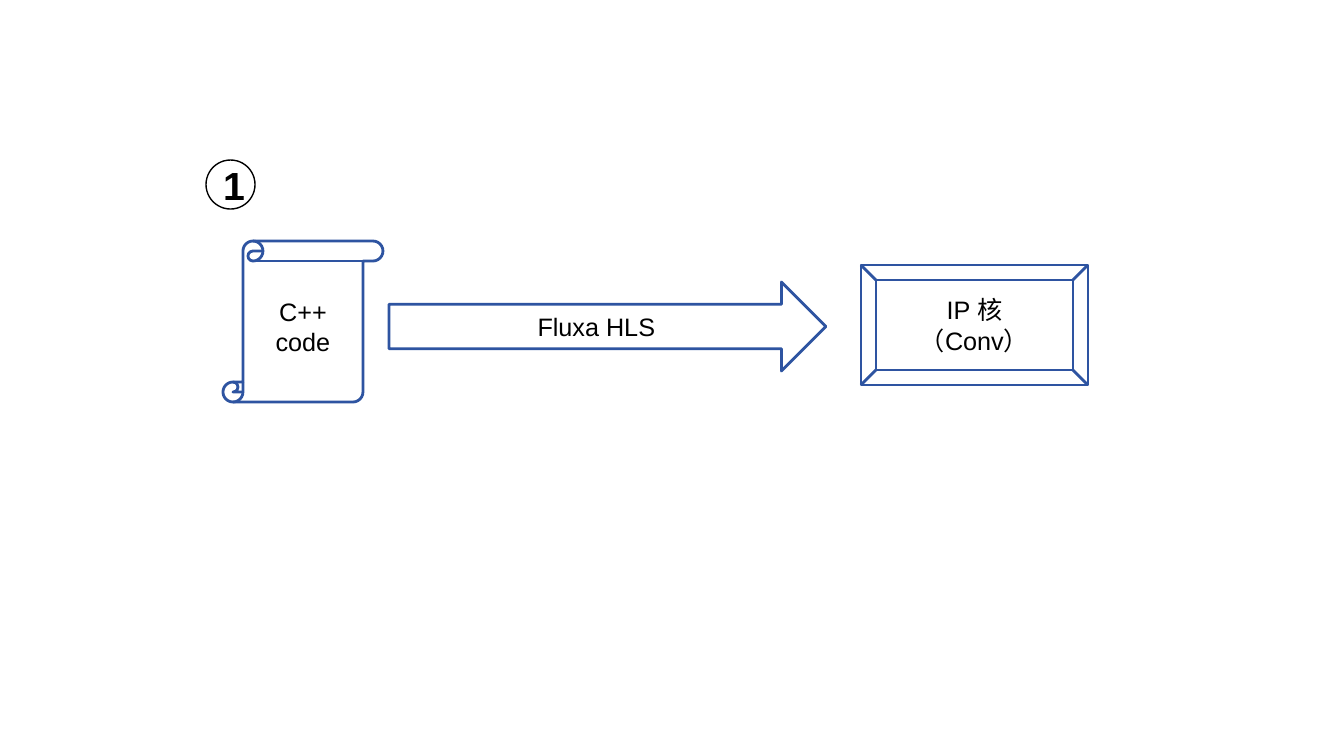
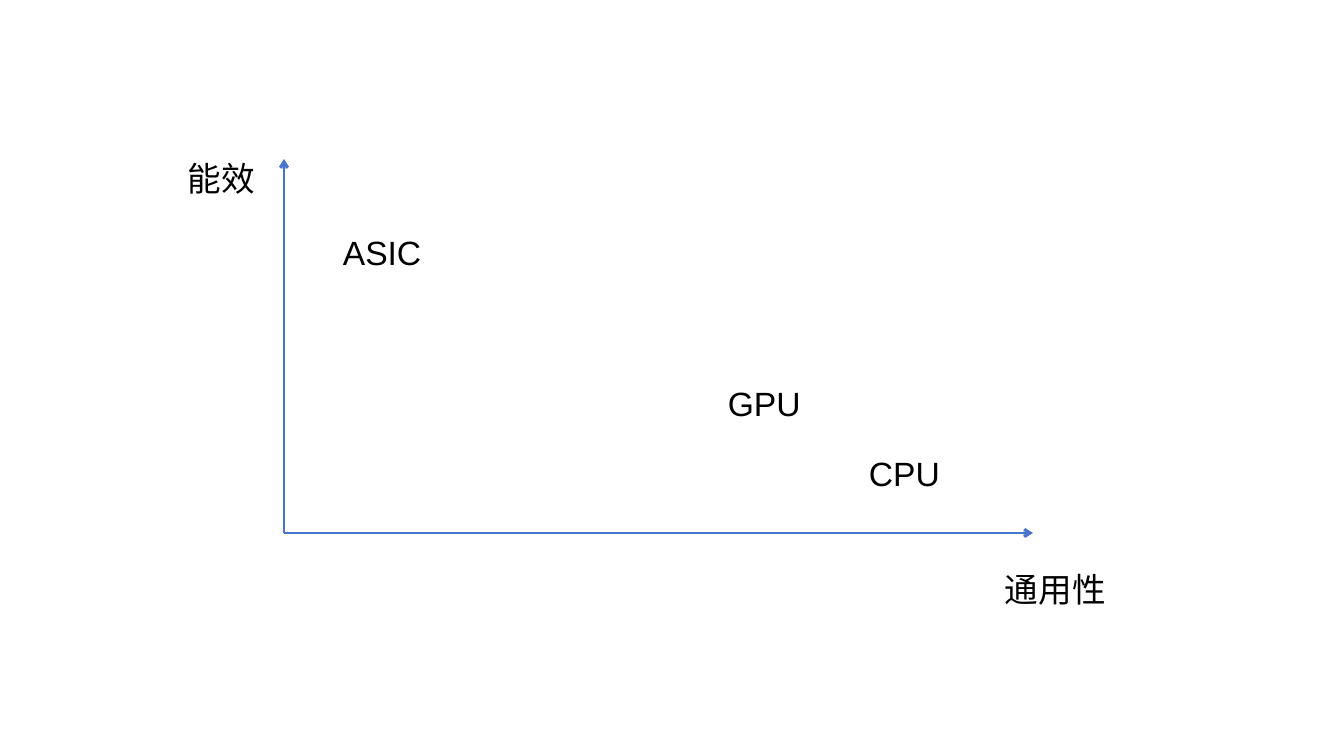
"""Build two slides: an HLS flow and an energy-versus-generality chart of processors."""
from lxml import etree
from pptx import Presentation
from pptx.dml.color import RGBColor
from pptx.enum.shapes import MSO_CONNECTOR, MSO_SHAPE
from pptx.enum.text import MSO_ANCHOR, MSO_AUTO_SIZE, PP_ALIGN
from pptx.oxml.ns import qn
from pptx.util import Emu, Pt

SCROLL, BEVEL = MSO_SHAPE.VERTICAL_SCROLL, MSO_SHAPE.BEVEL
ARROW, CIRCLE = MSO_SHAPE.RIGHT_ARROW, MSO_SHAPE.OVAL
STRAIGHT = MSO_CONNECTOR.STRAIGHT
CENTER, LEFT = PP_ALIGN.CENTER, PP_ALIGN.LEFT
MIDDLE, GROW = MSO_ANCHOR.MIDDLE, MSO_AUTO_SIZE.SHAPE_TO_FIT_TEXT
BLANK = 6
EMU_PER_PX = 914400 / 100.8
BLACK, OUTLINE, AXIS = "000000", "2E54A1", "4874CB"


def px(*lengths):
    """Turn pixel lengths into EMU."""
    return [Emu(round(n * EMU_PER_PX)) for n in lengths]


def rgb(value):
    """Turn a hex string into a colour."""
    return RGBColor.from_string(value)


class Deck:
    """Hold the style and the current slide."""

    label = {"name": "Arial", "size": Pt(18), "bold": False}
    number = {"name": "Arial", "size": Pt(28), "bold": True}
    point = {"name": "Arial", "size": Pt(24), "bold": False}
    axis_name = {"name": "Calibri", "size": Pt(24), "bold": False}

    def __init__(self):
        """Start an empty deck."""
        self.prs = Presentation()
        self.prs.slide_width, self.prs.slide_height = px(1344, 756)
        self.s = None

    def slide(self):
        """Add a blank slide and make it current."""
        self.s = self.prs.slides.add_slide(self.prs.slide_layouts[BLANK])

    def fill_text(self, tf, lines, style, align):
        """Fill a text frame with one paragraph per line."""
        tf.word_wrap = True
        for i, line in enumerate(lines):
            p = tf.paragraphs[0] if i == 0 else tf.add_paragraph()
            p.alignment = align
            r = p.add_run()
            r.text = line
            r.font.color.rgb = rgb(BLACK)
            for name, value in style.items():
                setattr(r.font, name, value)

    def stroke(self, line, color, width):
        """Set the colour and width of a line."""
        line.color.rgb = rgb(color)
        line.width = Pt(width)

    def shape(self, kind, box, lines, style=label, color=OUTLINE, width=2):
        """Add an outlined shape with centred text."""
        sp = self.s.shapes.add_shape(kind, *px(*box))
        sp.shadow.inherit = False
        sp.fill.background()
        self.stroke(sp.line, color, width)
        sp.text_frame.vertical_anchor = MIDDLE
        self.fill_text(sp.text_frame, lines, style, CENTER)

    def text(self, box, text, style=point):
        """Add a text box that grows with its text."""
        tf = self.s.shapes.add_textbox(*px(*box)).text_frame
        self.fill_text(tf, [text], style, LEFT)
        tf.auto_size = GROW

    def axis(self, start, end):
        """Add a line with an arrowhead at its end."""
        cxn = self.s.shapes.add_connector(STRAIGHT, *px(*start, *end))
        self.stroke(cxn.line, AXIS, 2)
        ln = cxn._element.spPr.find(qn("a:ln"))
        etree.SubElement(ln, qn("a:tailEnd"), type="arrow")
        etree.SubElement(cxn._element.spPr, qn("a:effectLst"))


def flow(deck):
    """Draw the step from source code to IP core."""
    deck.slide()
    deck.shape(SCROLL, (223, 241, 160, 161), ["C++", "code"])
    deck.shape(BEVEL, (861, 265, 227, 120), ["IP 核", "（Conv）"])
    deck.shape(ARROW, (389, 282, 437, 89), ["Fluxa HLS"])
    deck.shape(CIRCLE, (206, 160, 49, 49), ["1"], deck.number, BLACK, 1)


def tradeoff(deck):
    """Draw the processors between the two axes."""
    deck.slide()
    origin = (284, 533)
    deck.axis(origin, (1033, 533))
    deck.axis(origin, (284, 159))
    deck.text((178, 153, 100, 50), "能效", deck.axis_name)
    deck.text((995, 564, 200, 50), "通用性", deck.axis_name)
    for name, x, y in (("ASIC", 333, 227), ("GPU", 718, 378), ("CPU", 859, 448)):
        deck.text((x, y, 135, 50), name)


def main():
    """Build and save the deck."""
    deck = Deck()
    flow(deck)
    tradeoff(deck)
    deck.prs.save("out.pptx")


if __name__ == "__main__":
    main()
